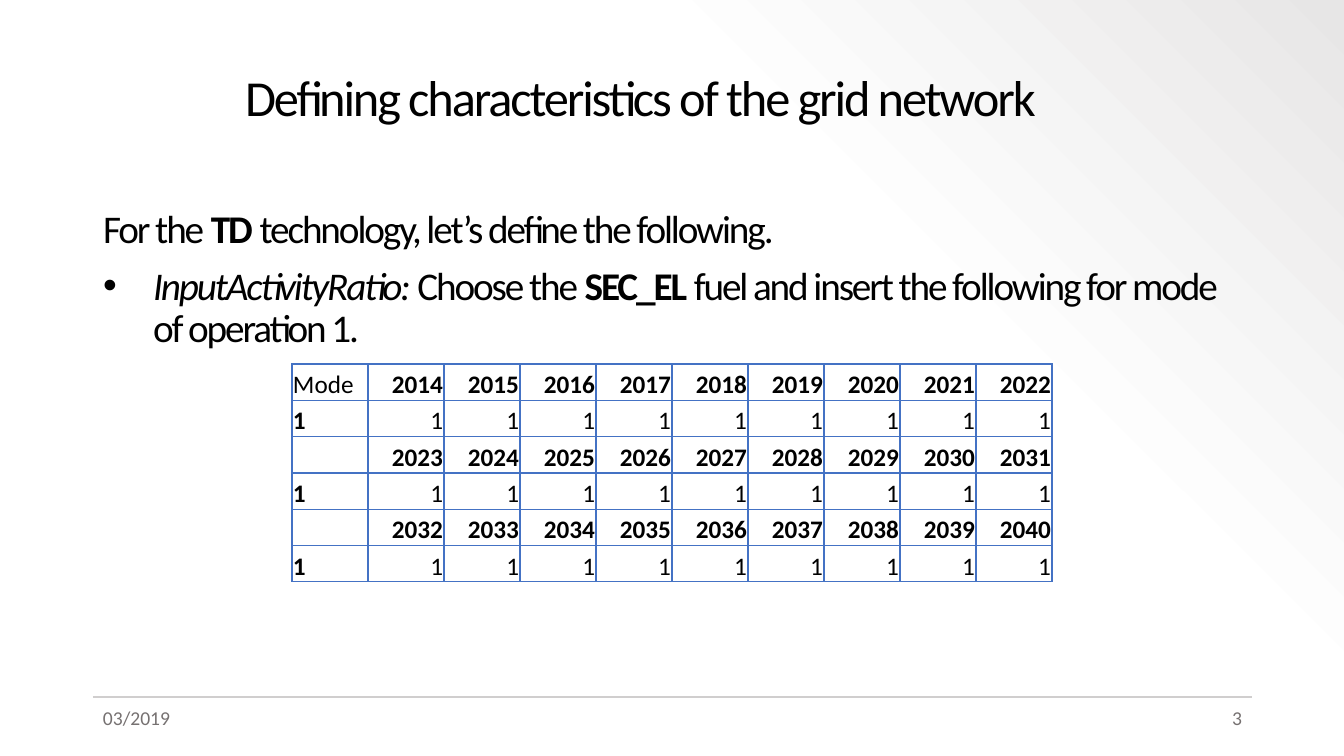
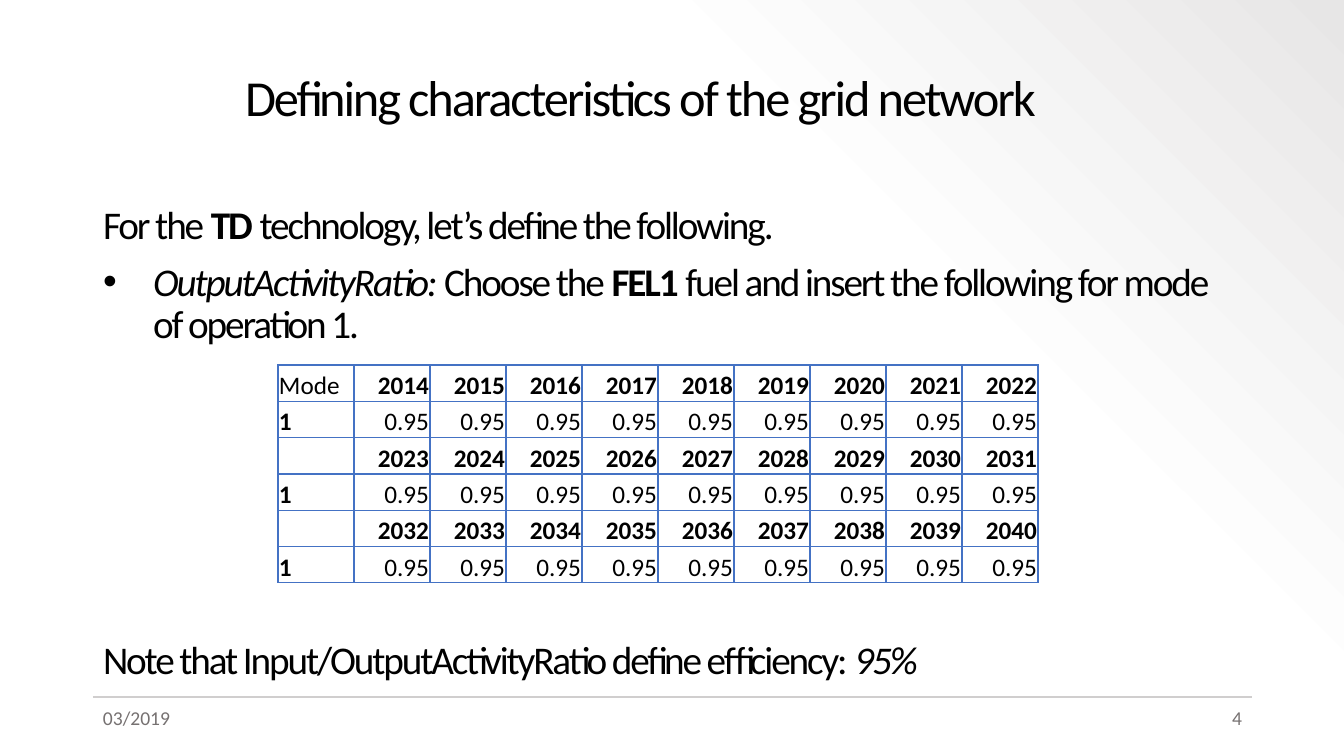
from pptx import Presentation
from pptx.dml.color import RGBColor
from pptx.enum.shapes import MSO_CONNECTOR
from pptx.enum.text import MSO_ANCHOR as Anchor, MSO_AUTO_SIZE as AutoSize, PP_ALIGN as Align
from pptx.oxml import parse_xml
from pptx.oxml.ns import nsdecls
from pptx.util import Pt

COLORS = {
    "text": "000000",
    "footer": "767171",
    "rule": "D0CECE",
    "grid": "4472C4",
    "back_start": "FFFFFF",
    "back_middle": "FDFDFD",
    "back_end": "E7E6E6",
}
FONT = "Calibri"
WIDTH, HEIGHT = 1344, 756
SCALE = 12192000 / WIDTH
LEFT, RIGHT = 93, 1252


def px(*lengths):
    return [round(length * SCALE) for length in lengths]


def color(name):
    return RGBColor.from_string(COLORS[name])


class Slides:
    """Holds the deck, its style and the current page."""

    def __init__(self):
        self.deck = Presentation()
        self.deck.slide_width, self.deck.slide_height = px(WIDTH, HEIGHT)
        self.page = None
        self.background()

    def background(self):
        master = self.deck.slide_master
        master.background.fill.gradient()
        old = master.element.xpath(".//p:bgPr/a:gradFill")[0]
        old.getparent().replace(old, parse_xml(
            f'<a:gradFill {nsdecls("a")} rotWithShape="1"><a:gsLst>'
            f'<a:gs pos="0"><a:srgbClr val="{COLORS["back_start"]}"/></a:gs>'
            f'<a:gs pos="69000"><a:srgbClr val="{COLORS["back_middle"]}"/></a:gs>'
            f'<a:gs pos="100000"><a:srgbClr val="{COLORS["back_end"]}">'
            '<a:alpha val="50000"/></a:srgbClr></a:gs>'
            '</a:gsLst><a:lin ang="18900000" scaled="0"/></a:gradFill>'))

    def add_page(self, title, number):
        self.page = self.deck.slides.add_slide(self.deck.slide_layouts[1])
        self.title(title)
        self.rule()
        self.footer("03/2019", LEFT, Align.LEFT)
        self.footer(str(number), RIGHT - 131, Align.RIGHT)

    def style(self, span, size, name="text", bold=False, italic=False, spacing=0):
        font = span.font
        font.name, font.size = FONT, Pt(size)
        font.bold, font.italic = bold, italic
        font.color.rgb = color(name)
        if spacing:
            span._r.get_or_add_rPr().set("spc", str(spacing))

    def place(self, shape, left, top, width, height):
        shape.left, shape.top, shape.width, shape.height = px(left, top, width, height)

    def title(self, text):
        box = self.page.shapes.title
        self.place(box, 235, 40, 1016, 121)
        frame = box.text_frame
        frame.text = text
        frame.auto_size, frame.vertical_anchor = AutoSize.NONE, Anchor.MIDDLE
        para = frame.paragraphs[0]
        para.alignment, para.line_spacing = Align.LEFT, 0.9
        self.style(para.runs[0], 36, spacing=-150)

    def rule(self):
        line = self.page.shapes.add_connector(
            MSO_CONNECTOR.STRAIGHT, *px(LEFT, 697, RIGHT, 697))
        line.line.color.rgb, line.line.width = color("rule"), Pt(1.5)
        line._element.spPr.append(parse_xml(f'<a:effectLst {nsdecls("a")}/>'))

    def footer(self, text, left, align):
        box = self.page.shapes.add_textbox(*px(left, 701, 131, 40))
        frame = box.text_frame
        frame.word_wrap = True
        frame.text = text
        para = frame.paragraphs[0]
        para.alignment = align
        self.style(para.runs[0], 14, "footer")

    def body(self, top, height, paragraphs):
        """Each paragraph is (bulleted, space before, [(text, "", "b" or "i")])."""
        box = self.page.placeholders[1]
        self.place(box, LEFT, top, RIGHT - LEFT, height)
        frame = box.text_frame
        frame.auto_size = AutoSize.NONE
        for index, (bulleted, before, spans) in enumerate(paragraphs):
            para = frame.add_paragraph() if index else frame.paragraphs[0]
            self.bullet(para, bulleted)
            para.line_spacing, para.space_before = 0.9, Pt(before)
            for text, look in spans:
                span = para.add_run()
                span.text = text
                self.style(span, 28, bold=look == "b", italic=look == "i", spacing=-150)

    def bullet(self, para, bulleted):
        props = para._p.get_or_add_pPr()
        indent = px(50)[0] if bulleted else 0
        props.set("marL", str(indent))
        props.set("indent", str(-indent))
        marks = ['buFont {} typeface="Arial"', 'buChar {} char="•"'] if bulleted else ["buNone {}"]
        for mark in marks:
            props.append(parse_xml(f"<a:{mark.format(nsdecls('a'))}/>"))

    def table(self, left, top, rows):
        grid = self.page.shapes.add_table(
            len(rows), len(rows[0]), *px(left, top, 760, 218)).table
        grid.first_row = grid.horz_banding = False
        for row, texts in enumerate(rows):
            for column, text in enumerate(texts):
                # Years and mode numbers are bold
                bold = (row % 2 == 0) == (column > 0)
                align = Align.RIGHT if column else Align.LEFT
                self.cell(grid.cell(row, column), text, bold, align)

    def cell(self, cell, text, bold, align):
        cell.margin_left, cell.margin_right, cell.margin_top, cell.margin_bottom = px(1, 1, 1, 0)
        cell.vertical_anchor = Anchor.BOTTOM
        cell.fill.background()
        cell.text_frame.text = text
        para = cell.text_frame.paragraphs[0]
        para.alignment = align
        for span in para.runs:
            self.style(span, 18, bold=bold)
        props = cell._tc.get_or_add_tcPr()
        for index, side in enumerate("LRTB"):
            props.insert(index, parse_xml(
                f'<a:ln{side} {nsdecls("a")} w="12700"><a:solidFill>'
                f'<a:srgbClr val="{COLORS["grid"]}"/></a:solidFill></a:ln{side}>'))


def ratio_rows(value):
    rows = []
    for start in range(2014, 2041, 9):
        years = [str(year) for year in range(start, start + 9)]
        rows.append(["" if rows else "Mode"] + years)
        rows.append(["1"] + [value] * 9)
    return rows


def ratio_text(ratio, fuel):
    return [
        (False, 0, [("For the ", ""), ("TD ", "b"),
                    ("technology, let’s define the following.", "")]),
        (True, 10, [(f"{ratio}: ", "i"), ("Choose the ", ""), (fuel, "b"),
                    (" fuel and insert the following for mode of operation 1.", "")]),
    ]


def main():
    slides = Slides()
    title = "Defining characteristics of the grid network"

    # Input ratio
    slides.add_page(title, 3)
    slides.body(205, 475, ratio_text("InputActivityRatio", "SEC_EL"))
    slides.table(292, 364, ratio_rows("1"))

    # Output ratio, with the note below the table
    slides.add_page(title, 4)
    note = (False, 210, [("Note that Input/OutputActivityRatio define efficiency: ", ""),
                         ("95%", "i")])
    slides.body(201, 522, ratio_text("OutputActivityRatio", "FEL1") + [note])
    slides.table(278, 365, ratio_rows("0.95"))

    slides.deck.save("out.pptx")


if __name__ == "__main__":
    main()
